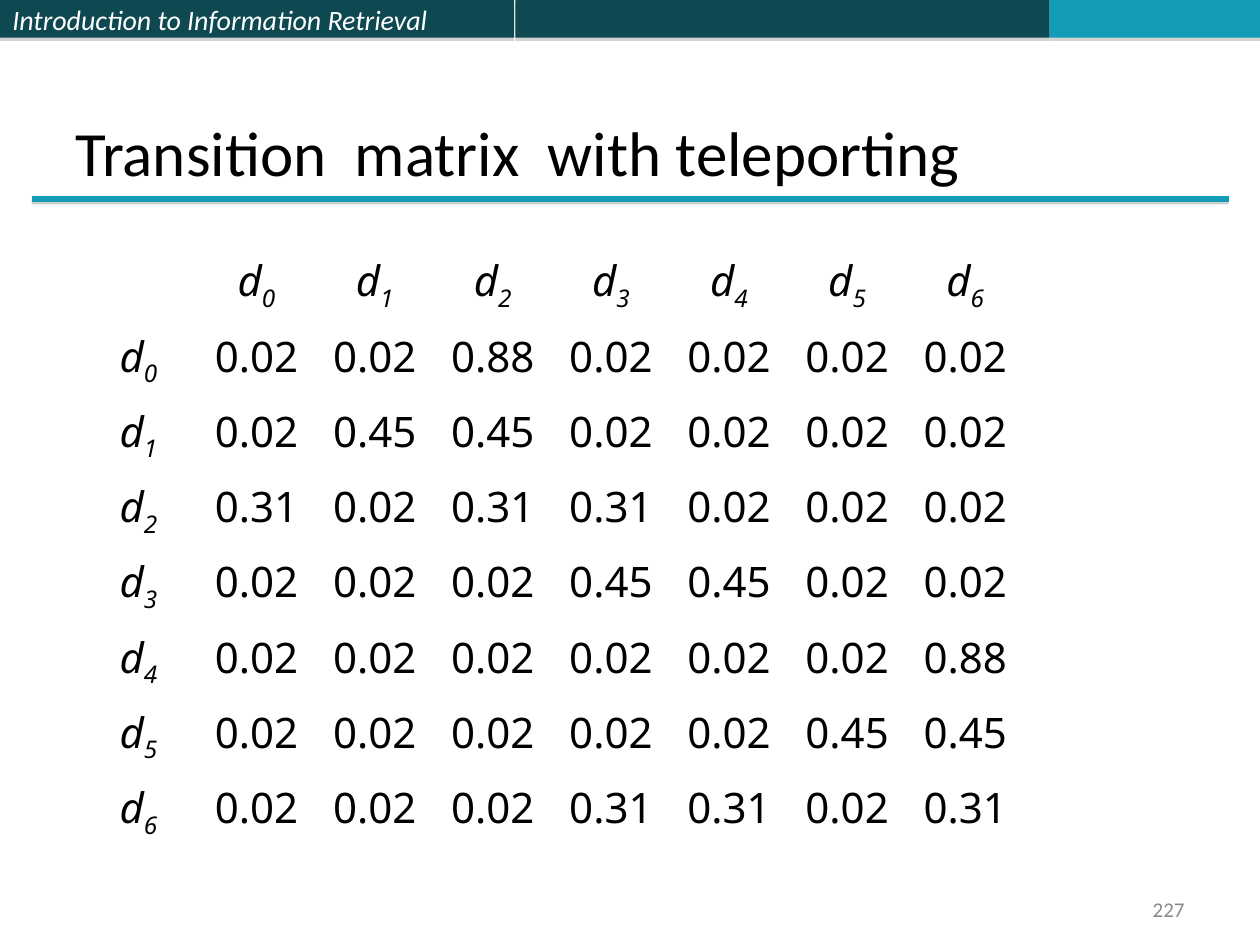
from dataclasses import dataclass

from lxml.etree import SubElement
from pptx import Presentation
from pptx.dml.color import RGBColor
from pptx.enum.shapes import MSO_CONNECTOR as Connector, MSO_SHAPE as Shape
from pptx.enum.text import MSO_ANCHOR as Anchor, PP_ALIGN as Align
from pptx.oxml.ns import qn
from pptx.util import Inches, Pt

COURSE = "Introduction to Information Retrieval"
TITLE = "Transition  matrix  with teleporting"
PAGE = "227"
PROBABILITIES = [
    ["0.02", "0.02", "0.88", "0.02", "0.02", "0.02", "0.02"],
    ["0.02", "0.45", "0.45", "0.02", "0.02", "0.02", "0.02"],
    ["0.31", "0.02", "0.31", "0.31", "0.02", "0.02", "0.02"],
    ["0.02", "0.02", "0.02", "0.45", "0.45", "0.02", "0.02"],
    ["0.02", "0.02", "0.02", "0.02", "0.02", "0.02", "0.88"],
    ["0.02", "0.02", "0.02", "0.02", "0.02", "0.45", "0.45"],
    ["0.02", "0.02", "0.02", "0.31", "0.31", "0.02", "0.31"],
]


@dataclass(frozen=True)
class Theme:
    dark: str = "0E4851"
    accent: str = "139CB7"
    text: str = "000000"
    white: str = "FFFFFF"
    muted: str = "898989"
    shadow: str = "808080"
    body_font: str = "Calibri"
    table_font: str = "Noto Sans"
    title_size: int = 36
    table_size: int = 24
    course_size: int = 16
    page_size: int = 12


THEME = Theme()
WIDTH, HEIGHT = Inches(10), Inches(7.5)
BAR_HEIGHT = HEIGHT * 0.04
# Left and right edge in inches, colour and text of each part of the top bar
BAR_PARTS = [
    (0, 4.08, THEME.dark, COURSE),
    (4.09, 8.33, THEME.dark, ""),
    (8.33, 10, THEME.accent, ""),
]


def color(value):
    return RGBColor.from_string(value)


def style_font(font, size, value, name=THEME.body_font, italic=False):
    font.size, font.name, font.italic = Pt(size), name, italic
    font.color.rgb = color(value)


def add_shadow(shape, distance, opacity):
    """Give the shape a hard shadow straight below it."""
    properties = shape._element.spPr
    effects = properties.find(qn("a:effectLst"))
    if effects is None:
        effects = SubElement(properties, qn("a:effectLst"))
    outer = SubElement(effects, qn("a:outerShdw"), blurRad="0",
                       dist=str(Pt(distance)), dir="5400000", rotWithShape="0")
    tint = SubElement(outer, qn("a:srgbClr"), val=THEME.shadow)
    SubElement(tint, qn("a:alpha"), val=str(opacity * 1000))


def add_top_bar(slide):
    for left, right, fill, text in BAR_PARTS:
        part = slide.shapes.add_shape(Shape.RECTANGLE, Inches(left), 0,
                                      Inches(right - left), int(BAR_HEIGHT))
        part.fill.solid()
        part.fill.fore_color.rgb = color(fill)
        part.line.fill.background()
        part.shadow.inherit = False
        add_shadow(part, 1.8, 35)
        if text:
            fill_text(part.text_frame, text, Anchor.MIDDLE, Align.LEFT,
                      THEME.course_size, THEME.white, italic=True)


def fill_text(frame, text, anchor, align, size, value, italic=False):
    frame.text = text
    frame.word_wrap = True
    frame.vertical_anchor = anchor
    paragraph = frame.paragraphs[0]
    paragraph.alignment = align
    style_font(paragraph.runs[0].font, size, value, italic=italic)


def add_title_rule(slide):
    height = Inches(1.58)
    rule = slide.shapes.add_connector(
        Connector.STRAIGHT, Inches(0.25), height, Inches(9.75), height)
    rule.line.color.rgb = color(THEME.accent)
    rule.line.width = Pt(3)
    add_shadow(rule, 1.6, 38)


def add_label(slide, box, *text_style):
    label = slide.shapes.add_textbox(*map(Inches, box))
    fill_text(label.text_frame, *text_style)


def fill_cell(cell, text, subscript=""):
    """Write a number, or an italic name with its subscript."""
    paragraph = cell.text_frame.paragraphs[0]
    paragraph.alignment = Align.CENTER
    for part in filter(None, (text, subscript)):
        run = paragraph.add_run()
        run.text = part
        style_font(run.font, THEME.table_size, THEME.text,
                   THEME.table_font, italic=bool(subscript))
    if subscript:
        run.font._element.set("baseline", "-25000")


def add_matrix(slide):
    count = len(PROBABILITIES) + 1
    table = slide.shapes.add_table(count, count, Inches(0.63), Inches(1.95),
                                   Inches(7.5), Inches(4.78)).table
    table.first_row = table.horz_banding = False
    for cell in table.iter_cells():
        cell.fill.background()
    for index, row in enumerate(PROBABILITIES):
        fill_cell(table.cell(0, index + 1), "d", str(index))
        fill_cell(table.cell(index + 1, 0), "d", str(index))
        for column, value in enumerate(row, start=1):
            fill_cell(table.cell(index + 1, column), value)


def main():
    presentation = Presentation()
    presentation.slide_width, presentation.slide_height = WIDTH, HEIGHT
    slide = presentation.slides.add_slide(presentation.slide_layouts[6])
    add_top_bar(slide)
    add_title_rule(slide)
    add_label(slide, (7.17, 7.08, 2.33, 0.27), PAGE, Anchor.MIDDLE,
              Align.RIGHT, THEME.page_size, THEME.muted)
    add_label(slide, (0.5, 0.02, 9, 1.53), TITLE, Anchor.BOTTOM,
              Align.LEFT, THEME.title_size, THEME.text)
    add_matrix(slide)
    presentation.save("out.pptx")


if __name__ == "__main__":
    main()
